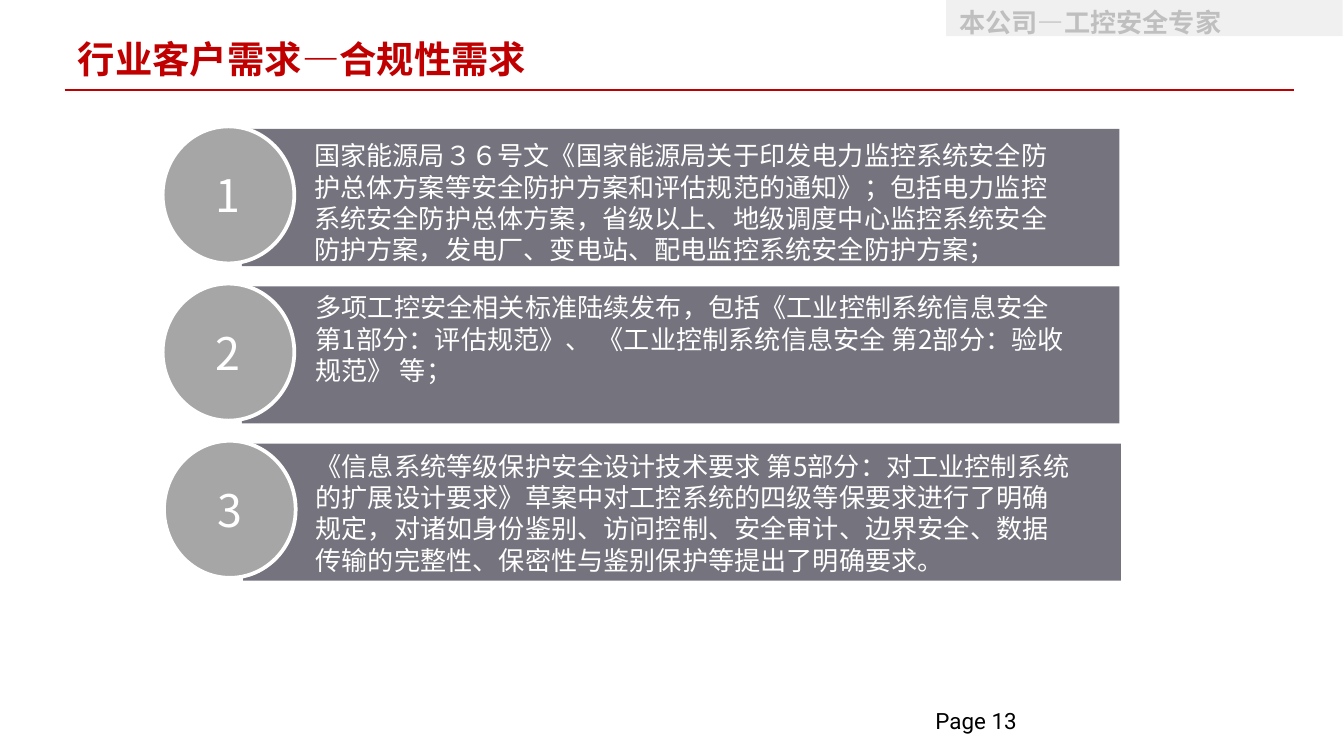
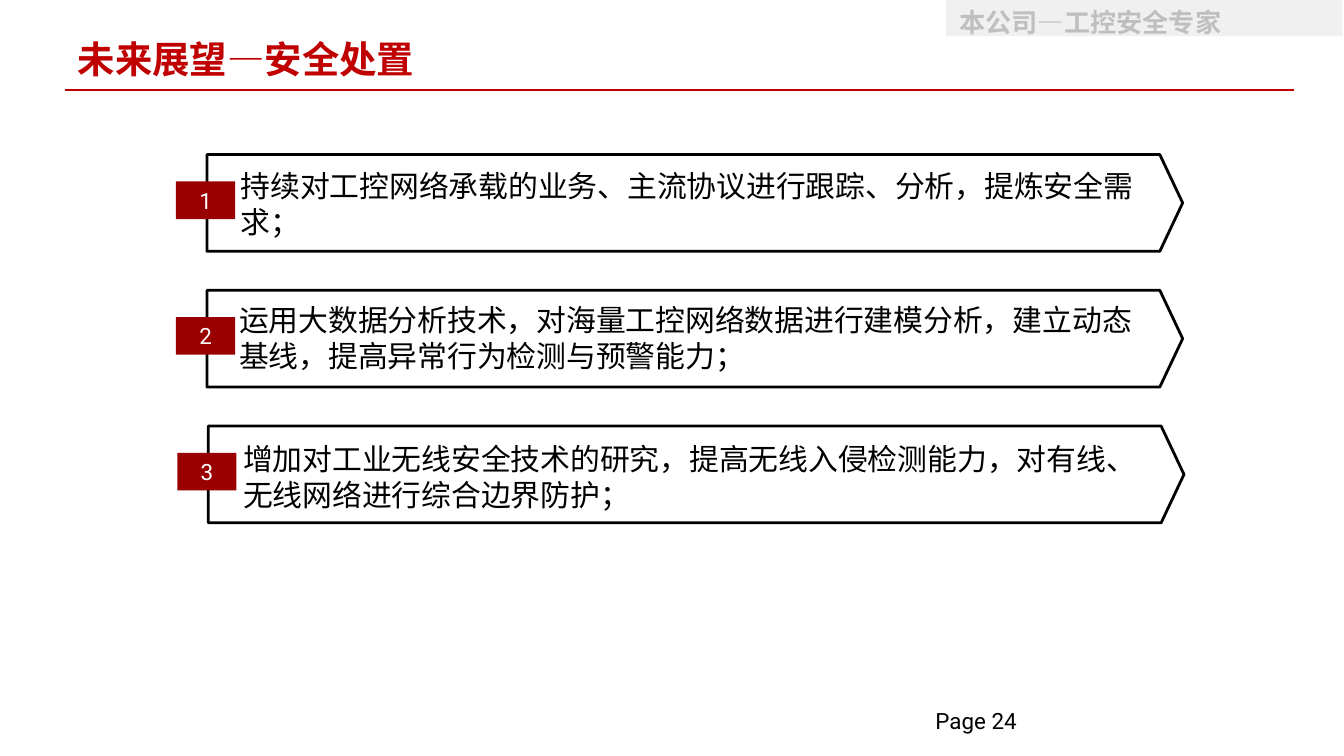
from lxml import etree
from pptx import Presentation, util as u
from pptx.dml.color import RGBColor
from pptx.enum import shapes as sh, text as tx
from pptx.oxml.ns import qn

HEX = {
    "red": "C00000", "tag": "990000", "bar": "75747E", "disc": "A6A6A6",
    "band": "F0F0F0", "pale": "BFBFBF", "white": "FFFFFF", "black": "000000",
}
CJK, LATIN = "Noto Sans CJK SC", "Roboto"
RECT, OVAL = sh.MSO_SHAPE.RECTANGLE, sh.MSO_SHAPE.OVAL
TOP, MID = tx.MSO_ANCHOR.TOP, tx.MSO_ANCHOR.MIDDLE
LEFT, MIDDLE = tx.PP_ALIGN.LEFT, tx.PP_ALIGN.CENTER
PAD = (0.1, 0.05)
FLAT = (0, 0)

# Each row: text left, text top, wording
NEEDS = [
    (2.24, 0.99, "国家能源局３６号文《国家能源局关于印发电力监控系统安全防护总体方案等安全防护方案和评估规范的通知》；包括电力监控系统安全防护总体方案，省级以上、地级调度中心监控系统安全防护方案，发电厂、变电站、配电监控系统安全防护方案；"),
    (2.25, 2.12, "多项工控安全相关标准陆续发布，包括《工业控制系统信息安全 第1部分：评估规范》、 《工业控制系统信息安全 第2部分：验收规范》 等；"),
    (2.25, 3.3, "《信息系统等级保护安全设计技术要求 第5部分：对工业控制系统的扩展设计要求》草案中对工控系统的四级等保要求进行了明确规定，对诸如身份鉴别、访问控制、安全审计、边界安全、数据传输的完整性、保密性与鉴别保护等提出了明确要求。"),
]
PLANS = [
    (1.79, 1.25, "持续对工控网络承载的业务、主流协议进行跟踪、分析，提炼安全需求；"),
    (1.78, 2.25, "运用大数据分析技术，对海量工控网络数据进行建模分析，建立动态基线，提高异常行为检测与预警能力；"),
    (1.81, 3.28, "增加对工业无线安全技术的研究，提高无线入侵检测能力，对有线、无线网络进行综合边界防护；"),
]


def color(name):
    return RGBColor.from_string(HEX[name])


def inches(vals):
    return [u.Inches(v) for v in vals]


def paint(shape, fill, line=None, width=1):
    shape.shadow.inherit = False
    shape.fill.solid()
    shape.fill.fore_color.rgb = color(fill)
    if line:
        shape.line.color.rgb = color(line)
        shape.line.width = u.Pt(width)
    else:
        shape.line.fill.background()


def write(shape, words, size, ink, face=CJK, bold=False, align=LEFT,
          anchor=TOP, pad=PAD, lead=None):
    """Fill a shape with one paragraph; lead defaults to 1.2 times the size."""
    frame = shape.text_frame
    frame.word_wrap = True
    frame.vertical_anchor = anchor
    frame.margin_left = frame.margin_right = u.Inches(pad[0])
    frame.margin_top = frame.margin_bottom = u.Inches(pad[1])
    para = frame.paragraphs[0]
    para.text = words
    para.alignment = align
    para.line_spacing = lead or u.Pt(size * 1.2)
    font = para.font
    font.size = u.Pt(size)
    font.bold = bold
    font.color.rgb = color(ink)
    font.name = face
    east = etree.SubElement(para._p.pPr.find(qn("a:defRPr")), qn("a:ea"))
    east.set("typeface", face)


def block(kids, kind, box, fill, line=None, width=1):
    shape = kids.add_shape(kind, *inches(box))
    paint(shape, fill, line, width)
    return shape


def label(kids, box, words, size, ink, **style):
    write(kids.add_textbox(*inches(box)), words, size, ink, **style)


def rule(kids, ends):
    line = kids.add_connector(sh.MSO_CONNECTOR.STRAIGHT, *inches(ends))
    line.line.color.rgb = color("red")
    line.line.width = u.Pt(1)
    etree.SubElement(line._element.spPr, qn("a:effectLst"))


def arrow(kids, left, top):
    """Draw a white panel that ends in a point on the right."""
    wide, high, tip = 7.26, 0.72, 0.17
    neck, low = left + wide - tip, top + high
    edge = [(neck, top), (left + wide, top + high / 2), (neck, low), (left, low)]
    pen = kids.build_freeform(*inches((left, top)))
    pen.add_line_segments([inches(pt) for pt in edge], close=True)
    paint(pen.convert_to_shape(), "white", "black", 1.5)


def frame(deck, title, page):
    """Add a slide with the shared band, title, rule and page number."""
    kids = deck.slides.add_slide(deck.slide_layouts[6]).shapes
    label(kids, (6.96, 5.29, 2.29, 0.37), f"Page {page}", 12, "black",
          face=LATIN, pad=FLAT, lead=0.85)
    band = block(kids, RECT, (7.04, 0, 2.95, 0.27), "band")
    write(band, "本公司—工控安全专家", 14, "pale", bold=True)
    rule(kids, (0.48, 0.67, 9.63, 0.67))
    label(kids, (0.48, 0.22, 8.26, 0.44), title, 20, "red", bold=True)
    return kids


def need(kids, num, left, top, words):
    kids = kids.add_group_shape().shapes
    shift = 0.01 if num == 3 else 0
    drop = (num - 1) * 1.17
    block(kids, RECT, (1.8 + shift, 0.96 + drop, 6.53, 1.02), "bar")
    disc = block(kids, OVAL, (1.21 + shift, 0.94 + drop, 0.98, 1.02),
                 "disc", "white", 2)
    write(disc, str(num), 24, "white", align=MIDDLE, anchor=MID)
    label(kids, (left, top, 5.84, 1.04), words, 14, "white")


def plan(kids, num, left, top, words):
    shift = 0.01 if num == 3 else 0
    drop = (num - 1) * 1.01
    arrow(kids, 1.54 + shift, 1.15 + drop)
    label(kids, (left, top, 6.77, 0.53), words, 16, "black",
          anchor=MID, pad=FLAT)
    tag = block(kids, RECT, (1.31 + shift, 1.35 + drop, 0.44, 0.28), "tag")
    write(tag, str(num), 12, "white", face=LATIN, align=MIDDLE,
          anchor=MID, pad=FLAT)


def main():
    deck = Presentation()
    deck.slide_width = u.Inches(10)
    deck.slide_height = u.Inches(10 * 9 / 16)
    pages = [
        ("行业客户需求—合规性需求", 13, need, NEEDS),
        ("未来展望—安全处置", 24, plan, PLANS),
    ]
    for title, page, draw, rows in pages:
        kids = frame(deck, title, page)
        for num, row in enumerate(rows, 1):
            draw(kids, num, *row)
    deck.save("out.pptx")


if __name__ == "__main__":
    main()
